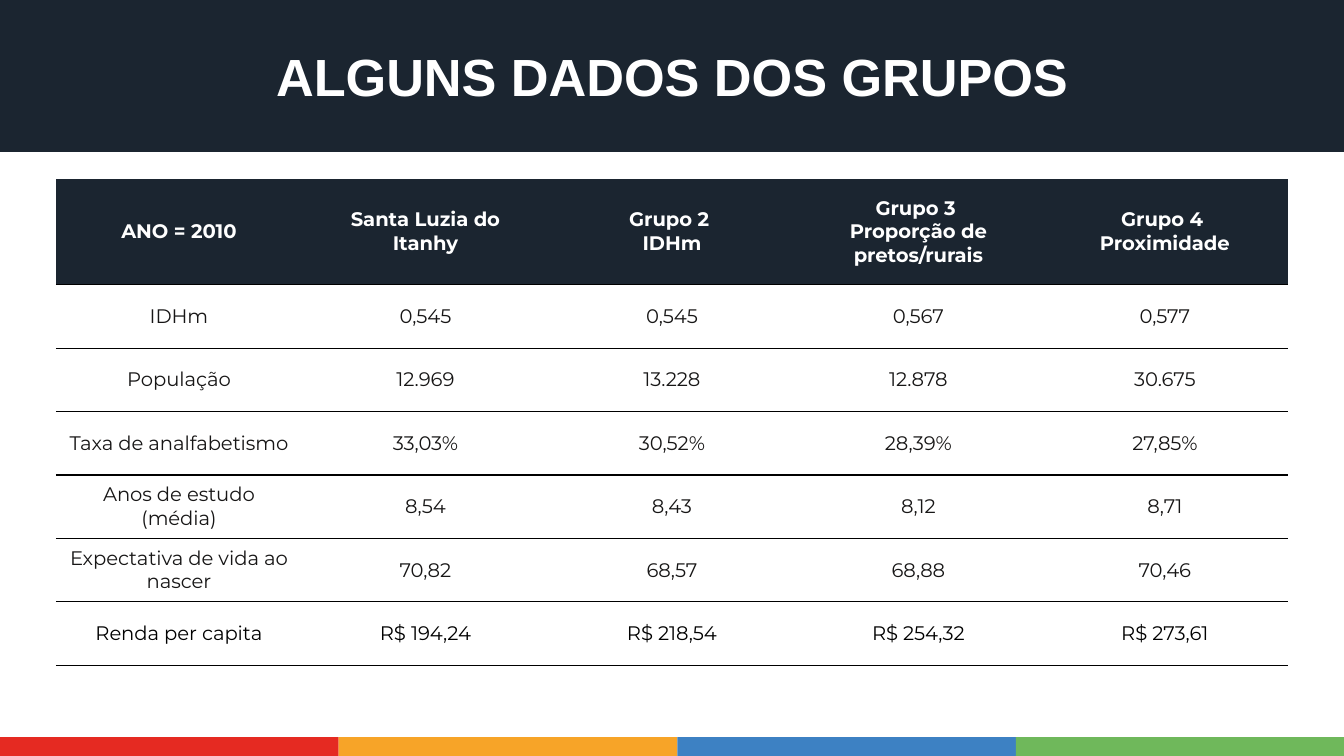
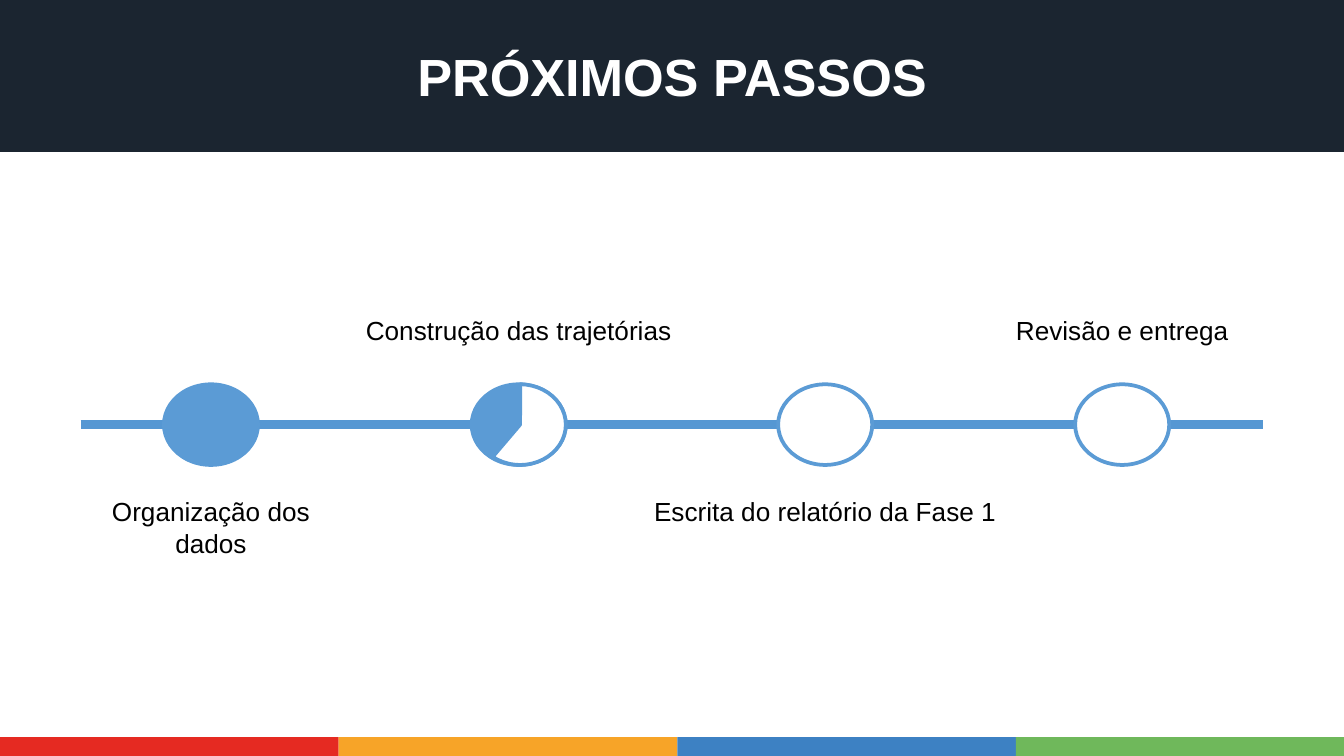
import pptx
import pptx.dml.color
import pptx.enum.shapes
import pptx.enum.text
import pptx.oxml
import pptx.oxml.ns
import pptx.util
from pptx.util import Inches

SHAPE = pptx.enum.shapes.MSO_SHAPE
ANCHOR = pptx.enum.text.MSO_ANCHOR
CENTER = pptx.enum.text.PP_ALIGN.CENTER

NAVY, WHITE, BLACK, INK = "1B2530", "FFFFFF", "000000", "171616"
AXIS_BLUE, STEP_BLUE = "5597D3", "5B9BD5"
FOOTER_COLOURS = ["E52A22", "F7A428", "3D81C3", "6FB85B"]
PLAIN_TABLE_STYLE = "{2D5ABB26-0587-4C30-8999-92F81FD0307C}"

PAGE_WIDTH = 10
PAGE_HEIGHT = PAGE_WIDTH * 9 / 16
BAND_LEFT, BAND_WIDTH, BAND_HEIGHT = -0.02, 10.05, 1.13
FOOTER_HEIGHT, FOOTER_STEP = 0.14, 2.52
FOOTER_TOP = PAGE_HEIGHT - FOOTER_HEIGHT

GROUPS_TITLE = "ALGUNS DADOS DOS GRUPOS"
GROUPS = [
    ["ANO = 2010", "Santa Luzia do Itanhy", "Grupo 2 \nIDHm",
     "Grupo 3 \nProporção de pretos/rurais", "Grupo 4 \nProximidade"],
    ["IDHm", "0,545", "0,545", "0,567", "0,577"],
    ["População", "12.969", "13.228", "12.878", "30.675"],
    ["Taxa de analfabetismo", "33,03%", "30,52%", "28,39%", "27,85%"],
    ["Anos de estudo\n(média)", "8,54", "8,43", "8,12", "8,71"],
    ["Expectativa de vida ao nascer", "70,82", "68,57", "68,88", "70,46"],
    ["Renda per capita", "R$ 194,24", "R$ 218,54", "R$ 254,32", "R$ 273,61"],
]
TABLE_WIDTH, TABLE_TOP, TABLE_HEIGHT = 9.17, 1.33, 3.62
TABLE_LEFT = (PAGE_WIDTH - TABLE_WIDTH) / 2
HEADER_HEIGHT = 0.79
ROW_HEIGHT = (TABLE_HEIGHT - HEADER_HEIGHT) / (len(GROUPS) - 1)

STEPS_TITLE = "PRÓXIMOS PASSOS"
BELOW, ABOVE = 3.64, 2.29
STEPS = [
    ("Organização dos dados", 1.57, STEP_BLUE, BELOW, 2.24),
    ("Construção das trajetórias", 3.86, STEP_BLUE, ABOVE, 3.3),
    ("Escrita do relatório da Fase 1", 6.14, WHITE, BELOW, 2.98),
    ("Revisão e entrega", 8.35, WHITE, ABOVE, 2.98),
]
AXIS_LEFT, AXIS_RIGHT, AXIS_Y = 0.6, 9.4, 3.16
MARK_WIDTH, MARK_HEIGHT = 0.7, 0.6
MARK_TOP = AXIS_Y - MARK_HEIGHT / 2
PIE_LEFT, PIE_WIDTH, PIE_ANGLES = 3.53, 0.68, (162.13, 78.24)


def colour(value):
    return pptx.dml.color.RGBColor.from_string(value)


def write(frame, text, size, font, ink, bold=False):
    para = frame.paragraphs[0]
    para.alignment = CENTER
    for index, line in enumerate(text.split("\n")):
        if index:
            para.add_line_break()
        span = para.add_run()
        span.text = line
        span.font.size = pptx.util.Pt(size)
        span.font.name = font
        span.font.bold = bold
        span.font.color.rgb = colour(ink)


def add_box(page, kind, left, top, width, height, fill, outline=None):
    box = page.shapes.add_shape(
        kind, Inches(left), Inches(top), Inches(width), Inches(height))
    box.shadow.inherit = False
    box.fill.solid()
    box.fill.fore_color.rgb = colour(fill)
    if outline:
        box.line.color.rgb = colour(outline)
        box.line.width = pptx.util.Pt(2)
    else:
        box.line.fill.background()
    return box


def move_bands_to_layout(page):
    bands = []
    for index, fill in enumerate(FOOTER_COLOURS):
        left = index * FOOTER_STEP
        width = min(FOOTER_STEP, PAGE_WIDTH - left)
        bands.append(add_box(page, SHAPE.RECTANGLE, left, FOOTER_TOP,
                             width, FOOTER_HEIGHT, fill))
    bands.append(add_box(page, SHAPE.RECTANGLE, BAND_LEFT, 0,
                         BAND_WIDTH, BAND_HEIGHT, NAVY))
    first = page.slide_layout.placeholders[0].element
    for number, band in enumerate(bands, 20):
        band.element.nvSpPr.cNvPr.set("id", str(number))
        first.addprevious(band.element)


def add_page(deck, title):
    page = deck.slides.add_slide(deck.slide_layouts[5])
    box = page.shapes.title
    box.left, box.top = Inches(0), Inches(0)
    box.width, box.height = Inches(PAGE_WIDTH), Inches(BAND_HEIGHT)
    frame = box.text_frame
    frame.vertical_anchor = ANCHOR.MIDDLE
    frame.margin_left = frame.margin_right = Inches(0.07)
    frame.margin_top = frame.margin_bottom = Inches(0.04)
    write(frame, title, 28, "Arial", WHITE, True)
    return page


def add_border(cell, side):
    properties = cell._tc.get_or_add_tcPr()
    properties.append(pptx.oxml.parse_xml(
        f'<a:{side} {pptx.oxml.ns.nsdecls("a")} w="{pptx.util.Pt(0.75)}">'
        f'<a:solidFill><a:srgbClr val="{BLACK}"/></a:solidFill></a:{side}>'))


def fill_groups(page):
    count = len(GROUPS[0])
    table = page.shapes.add_table(
        len(GROUPS), count, Inches(TABLE_LEFT), Inches(TABLE_TOP),
        Inches(TABLE_WIDTH), Inches(TABLE_HEIGHT)).table
    table.horz_banding = False
    table._tbl.tblPr.find(pptx.oxml.ns.qn("a:tableStyleId")).text = PLAIN_TABLE_STYLE
    for column in table.columns:
        column.width = Inches(TABLE_WIDTH / count)
    for row, values in enumerate(GROUPS):
        header = row == 0
        ink = WHITE if header else BLACK if row == len(GROUPS) - 1 else INK
        table.rows[row].height = Inches(HEADER_HEIGHT if header else ROW_HEIGHT)
        for column, text in enumerate(values):
            cell = table.cell(row, column)
            cell.vertical_anchor = ANCHOR.MIDDLE
            write(cell.text_frame, text, 10.5, "Montserrat", ink, header)
            if not header:
                add_border(cell, "lnT")
            add_border(cell, "lnB")
            if header:
                cell.fill.solid()
                cell.fill.fore_color.rgb = colour(NAVY)
            else:
                cell.fill.background()


def fill_steps(page):
    axis = page.shapes.add_connector(
        pptx.enum.shapes.MSO_CONNECTOR.STRAIGHT, Inches(AXIS_LEFT),
        Inches(AXIS_Y), Inches(AXIS_RIGHT), Inches(AXIS_Y))
    axis.line.color.rgb = colour(AXIS_BLUE)
    axis.line.width = pptx.util.Pt(4.5)
    axis.element.spPr.append(pptx.oxml.parse_xml(
        f'<a:effectLst {pptx.oxml.ns.nsdecls("a")}/>'))
    for text, middle, fill, top, width in STEPS:
        add_box(page, SHAPE.OVAL, middle - MARK_WIDTH / 2, MARK_TOP,
                MARK_WIDTH, MARK_HEIGHT, fill, STEP_BLUE)
        label = page.shapes.add_textbox(
            Inches(middle - width / 2), Inches(top), Inches(width), Inches(0.34))
        label.text_frame.word_wrap = True
        label.text_frame.auto_size = pptx.enum.text.MSO_AUTO_SIZE.SHAPE_TO_FIT_TEXT
        write(label.text_frame, text, 14, "Arial", BLACK)
    pie = add_box(page, SHAPE.PIE, PIE_LEFT, MARK_TOP, PIE_WIDTH,
                  MARK_HEIGHT, WHITE, STEP_BLUE)
    for index, angle in enumerate(PIE_ANGLES):
        pie.adjustments[index] = angle


def main():
    deck = pptx.Presentation()
    deck.slide_width, deck.slide_height = Inches(PAGE_WIDTH), Inches(PAGE_HEIGHT)
    groups = add_page(deck, GROUPS_TITLE)
    move_bands_to_layout(groups)
    fill_groups(groups)
    fill_steps(add_page(deck, STEPS_TITLE))
    deck.save("out.pptx")


if __name__ == "__main__":
    main()
